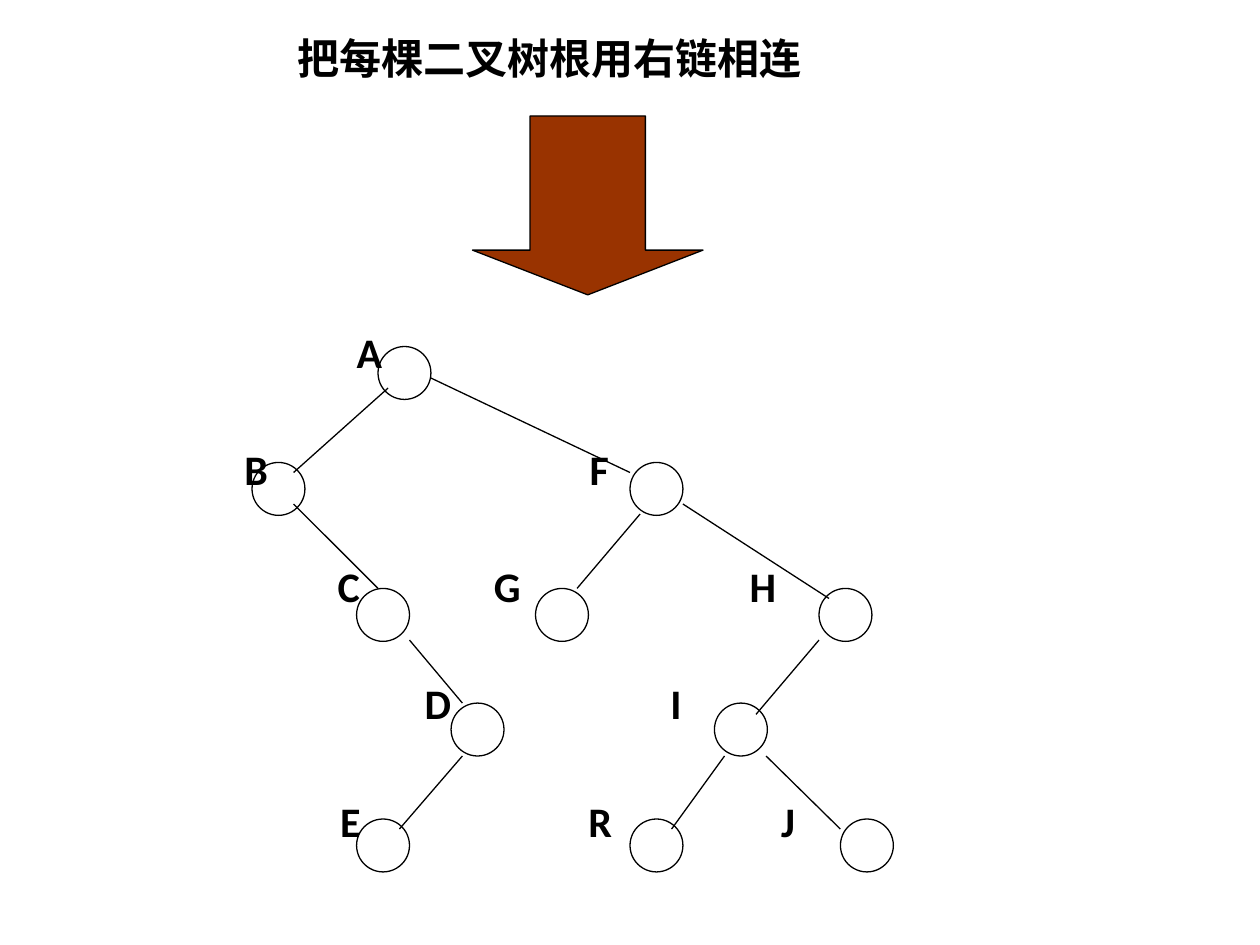
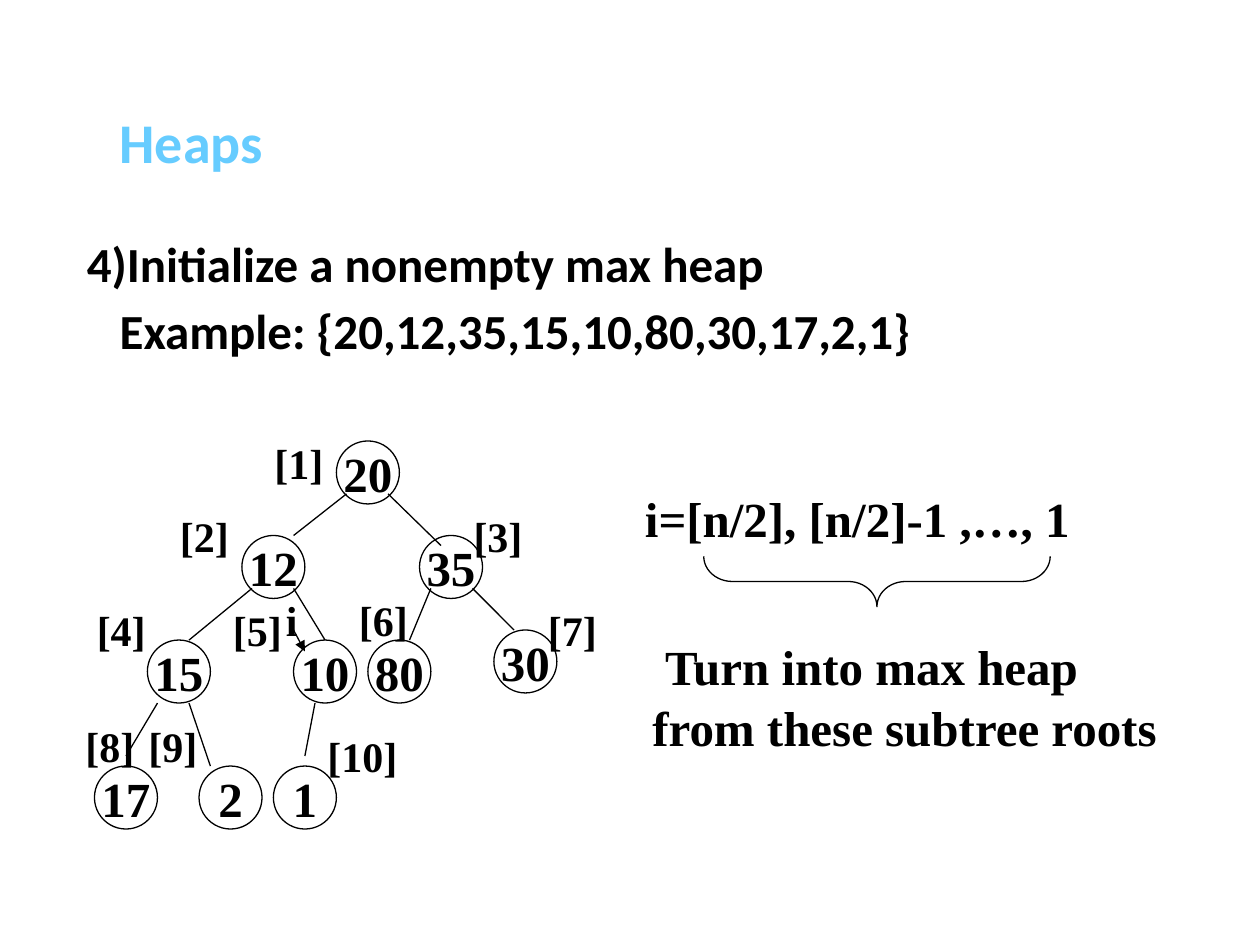
from lxml import etree
from pptx import Presentation
from pptx import util as u
from pptx.dml.color import RGBColor
from pptx.enum import shapes, text
from pptx.oxml.ns import qn

BLACK = RGBColor(0x00, 0x00, 0x00)
RUST = RGBColor(0x99, 0x33, 0x00)
SKY = RGBColor(0x66, 0xCC, 0xFF)

SANS = {"name": "Calibri", "size": u.Pt(24), "bold": True}
SERIF = {"name": "Times New Roman", "size": u.Pt(24), "bold": True}
LARGE = {"size": u.Pt(28)}
INSET = {"margin_left": u.Inches(0.1), "margin_right": u.Inches(0.1),
         "margin_top": u.Inches(0.05), "margin_bottom": u.Inches(0.05),
         "word_wrap": True, "vertical_anchor": text.MSO_ANCHOR.TOP}
FLUSH = {"margin_left": 0, "margin_right": 0, "margin_top": 0, "margin_bottom": 0,
         "word_wrap": False, "vertical_anchor": text.MSO_ANCHOR.MIDDLE}
NODE = INSET | {"word_wrap": False, "vertical_anchor": text.MSO_ANCHOR.MIDDLE}


def write(shape, lines, font, frame, para_format={}, color=BLACK):
    """Fill a shape with one paragraph per line."""
    for name, value in frame.items():
        setattr(shape.text_frame, name, value)
    for i, line in enumerate(lines):
        para = shape.text_frame.paragraphs[0] if i == 0 else shape.text_frame.add_paragraph()
        for name, value in para_format.items():
            setattr(para, name, value)
        span = para.add_run()
        span.text = line
        for name, value in font.items():
            setattr(span.font, name, value)
        span.font.color.rgb = color
    return shape.text_frame.paragraphs


def outline(shape):
    """Give a shape or connector a thin black line and no shadow."""
    shape.line.color.rgb = BLACK
    shape.line.width = u.Pt(0.75)
    etree.SubElement(shape._element.spPr, qn("a:effectLst"))


deck = Presentation()
deck.slide_width, deck.slide_height = u.Inches(10), u.Inches(7.5)
forest_page, heap_page = [deck.slides.add_slide(deck.slide_layouts[6]) for _ in range(2)]

# Slide 1: heading and node letters (rows are evenly spaced)
heading = forest_page.shapes.add_textbox(*map(u.Inches, (2.36, 0.21, 4.2, 0.5)))
write(heading, ["把每棵二叉树根用右链相连"], SANS, FLUSH)

letter_rows = [
    [("A", 2.83)],
    [("B", 1.94), ("F", 4.68)],
    [("C", 2.68), ("G", 3.92), ("H", 5.95)],
    [("D", 3.37), ("I", 5.32)],
    [("E", 2.7), ("R", 4.67), ("J", 6.2)],
]
for row, letters in enumerate(letter_rows):
    for letter, left in letters:
        box = forest_page.shapes.add_textbox(
            *map(u.Inches, (left, 2.59 + 0.93 * row, 0.3, 0.4)))
        write(box, [letter], SANS, FLUSH)

# Slide 2: title and body
title = heap_page.shapes.add_textbox(*map(u.Inches, (0.95, 0.67, 8.3, 0.97)))
write(title, ["Heaps"], SANS | {"size": u.Pt(32)}, FLUSH, {"line_spacing": 0.9}, SKY)

body = heap_page.shapes.add_textbox(*map(u.Inches, (0.69, 1.91, 8.9, 1.1)))
body_paras = write(body, ["4)Initialize a nonempty max heap",
                          "Example: {20,12,35,15,10,80,30,17,2,1}"],
                   SANS | LARGE, FLUSH | {"vertical_anchor": text.MSO_ANCHOR.TOP},
                   {"line_spacing": 0.9})
body_paras[1].space_before = u.Pt(7.5)
body_paras[1]._p.get_or_add_pPr().set("marL", str(u.Inches(0.26)))

# Both trees: circles (text, left, top) and edges (from x, y, to x, y)
forest_nodes = [("", *spot) for spot in [
    (3, 2.75), (2, 3.67), (5, 3.67), (2.83, 4.67), (4.25, 4.67), (6.5, 4.67),
    (3.58, 5.58), (5.67, 5.58), (2.83, 6.5), (5, 6.5), (6.67, 6.5)]]
forest_edges = [
    (3.08, 3.08, 2.33, 3.75), (2.33, 4, 3, 4.67), (3.42, 3, 5, 3.75),
    (5.42, 4, 6.58, 4.75), (5.08, 4.08, 4.58, 4.67), (5.75, 6, 5.33, 6.58),
    (3.67, 6, 3.17, 6.58), (6.08, 6, 6.67, 6.58), (6.5, 5.08, 6, 5.67),
    (3.25, 5.08, 3.67, 5.58)]
heap_nodes = [
    ("20", 2.67, 3.5), ("12", 1.92, 4.25), ("35", 3.33, 4.25), ("15", 1.17, 5.08),
    ("10", 2.33, 5.08), ("80", 2.92, 5.08), ("30", 3.92, 5), ("17", 0.75, 6.08),
    ("2", 1.58, 6.08), ("1", 2.17, 6.08)]
heap_edges = [
    (2.75, 3.92, 2.33, 4.25), (2, 4.67, 1.5, 5.08), (1.25, 5.58, 1, 6),
    (1.5, 5.58, 1.67, 6.08), (2.5, 5.58, 2.42, 6), (2.33, 4.67, 2.58, 5.08),
    (3.08, 3.92, 3.5, 4.33), (3.42, 4.67, 3.25, 5.08), (3.75, 4.67, 4.08, 5)]
index_pointer = (2.33, 5, 2.42, 5.17)

for page, size, nodes, edges in [
        (forest_page, 0.42, forest_nodes, forest_edges),
        (heap_page, 0.5, heap_nodes, heap_edges + [index_pointer])]:
    for value, left, top in nodes:
        circle = page.shapes.add_shape(shapes.MSO_SHAPE.OVAL,
                                       *map(u.Inches, (left, top, size, size)))
        circle.fill.background()
        outline(circle)
        if value:
            write(circle, [value], SERIF | LARGE, NODE,
                  {"alignment": text.PP_ALIGN.CENTER, "space_before": u.Pt(7)})
    for edge in edges:
        link = page.shapes.add_connector(shapes.MSO_CONNECTOR.STRAIGHT, *map(u.Inches, edge))
        outline(link)
        if edge == index_pointer:
            etree.SubElement(link.line._get_or_add_ln(), qn("a:tailEnd"), type="triangle")

# Slide 1: block arrow
arrow = forest_page.shapes.add_shape(shapes.MSO_SHAPE.DOWN_ARROW,
                                     *map(u.Inches, (3.75, 0.92, 1.83, 1.42)))
arrow.adjustments[0], arrow.adjustments[1] = 0.5, 0.25
arrow.fill.solid()
arrow.fill.fore_color.rgb = RUST
outline(arrow)

# Slide 2: array indexes beside the heap nodes
index_labels = [
    ("[1]", 2.08, 3.42, 0.75), ("[2]", 1.33, 4, 0.83), ("[3]", 3.66, 4, 0.75),
    ("[4]", 0.67, 4.75, 0.83), ("[5]", 1.75, 4.75, 0.83), ("[6]", 2.75, 4.67, 0.67),
    ("[7]", 4.25, 4.75, 0.67), ("i", 2.17, 4.67, 0.25), ("[8]", 0.58, 5.67, 0.67),
    ("[9]", 1.08, 5.67, 1.08), ("[10]", 2.5, 5.75, 0.83)]
for label, left, top, width in index_labels:
    box = heap_page.shapes.add_textbox(*map(u.Inches, (left, top, width, 0.5)))
    write(box, [label], SERIF, INSET)

# Slide 2: formula, brace and explanation
formula = heap_page.shapes.add_textbox(*map(u.Inches, (5.02, 3.83, 4.28, 0.57)))
write(formula, ["i=[n/2], [n/2]-1 ,…, 1"], SERIF | LARGE, INSET)

brace = heap_page.shapes.add_shape(shapes.MSO_SHAPE.LEFT_BRACE,
                                   *map(u.Inches, (6.76, 3.24, 0.4, 2.75)))
brace.rotation = 270
brace.adjustments[0], brace.adjustments[1] = 0.57, 0.5
brace.fill.background()
outline(brace)

note = heap_page.shapes.add_textbox(*map(u.Inches, (5.08, 5, 4.33, 1.04)))
note_paras = write(note, ["Turn into max heap", "from these subtree roots"], SERIF | LARGE, INSET)
note_paras[0]._p.get_or_add_pPr().set("indent", str(u.Inches(0.1)))
note_paras[1].space_before = u.Pt(1.5)

deck.save("out.pptx")
